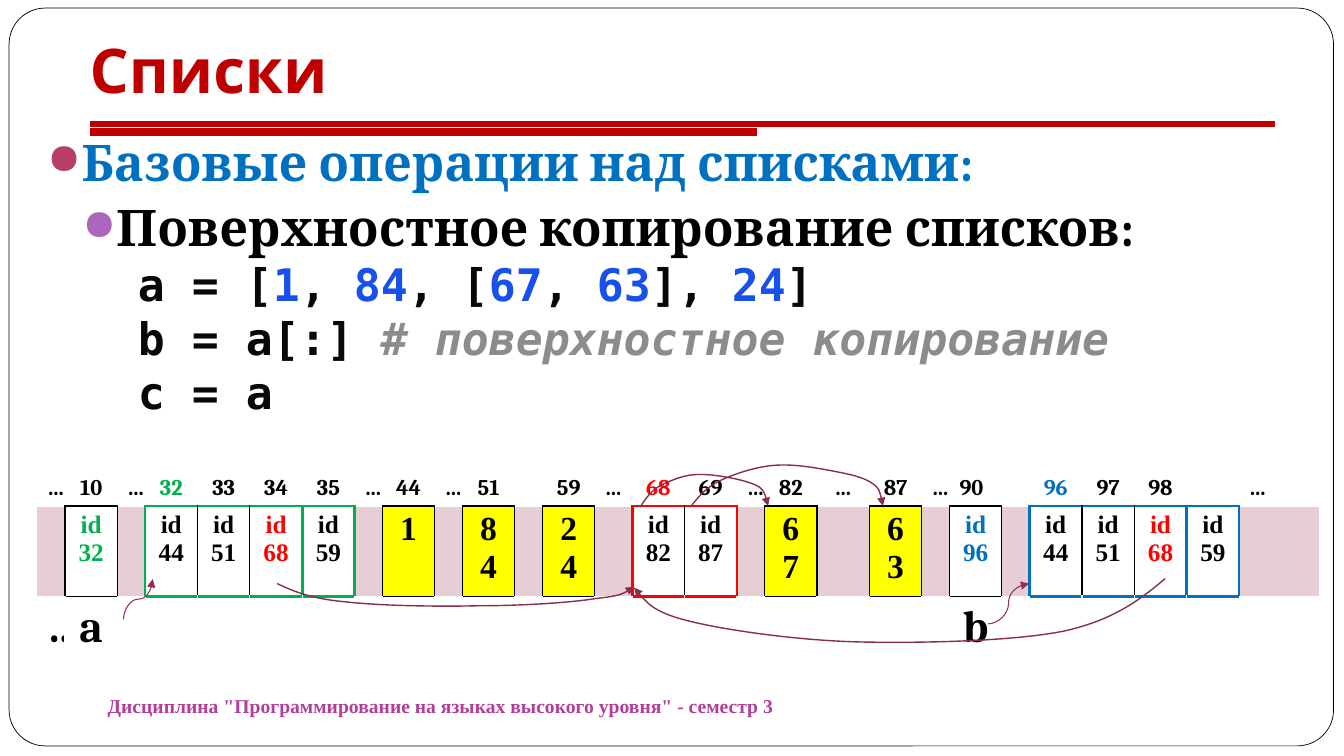
from collections import namedtuple
from lxml import etree
from pptx import Presentation
from pptx.dml.color import RGBColor
from pptx.enum.shapes import MSO_CONNECTOR, MSO_SHAPE
from pptx.enum.text import MSO_ANCHOR, PP_ALIGN
from pptx.oxml.ns import qn
from pptx.util import Inches, Pt

LINE, CURVE = MSO_CONNECTOR.STRAIGHT, MSO_CONNECTOR.CURVE
ROUND = MSO_SHAPE.ROUNDED_RECTANGLE
TOP, MID, LOW = MSO_ANCHOR.TOP, MSO_ANCHOR.MIDDLE, MSO_ANCHOR.BOTTOM
LEFT, MIDDLE = PP_ALIGN.LEFT, PP_ALIGN.CENTER
BLACK, WHITE, RED, GREEN, BLUE = "000000", "FFFFFF", "FF0000", "00B050", "0070C0"
YELLOW, ROSE, BRAND, WINE, PLUM = "FFFF00", "E6CED4", "C00000", "982C52", "882D4D"
SERIF, TIMES, MONO = "Cambria", "Times New Roman", "DejaVu Sans Mono"

Slot = namedtuple("Slot", "addr text frame tint mark width split side",
                  defaults=("", "", BLACK, BLACK, 5.2, False, MIDDLE))


def color(code):
    return RGBColor.from_string(code)


def apply(item, values):
    for name, value in values.items():
        setattr(item, name, value)


def add(parent, tag, **attrs):
    return etree.SubElement(parent, qn(tag), attrs)


class Board:
    """Draws on one slide; a grid column and a grid row are a tenth of an inch."""

    def __init__(self, cols, rows):
        self.deck = Presentation()
        apply(self.deck, {"slide_width": self.unit(cols), "slide_height": self.unit(rows)})
        self.slide = self.deck.slides.add_slide(self.deck.slide_layouts[6])
        self.shapes = self.slide.shapes

    def unit(self, count):
        return Inches(count / 10)

    def place(self, *counts):
        return [self.unit(count) for count in counts]

    def stroke(self, shape, tone, width, head=False):
        shape.line.color.rgb = color(tone)
        shape.line.width = Pt(width)
        if head:
            add(shape._element.spPr.find(qn("a:ln")), "a:tailEnd", type="triangle")

    def frame(self, box, round, tone, width):
        shape = self.shapes.add_shape(ROUND, *self.place(*box))
        shape.adjustments[0] = round
        shape.shadow.inherit = False
        shape.fill.solid()
        shape.fill.fore_color.rgb = color(WHITE)
        self.stroke(shape, tone, width)

    def link(self, kind, ends, tone, width, head=False, turn=0):
        wire = self.shapes.add_connector(kind, *self.place(*ends))
        self.stroke(wire, tone, width, head)
        add(wire._element.spPr, "a:effectLst")
        if turn:
            wire._element.spPr.find(qn("a:xfrm")).set("rot", str(turn * 60000))

    def arc(self, points, tone, width):
        """Draw a chain of cubic curves: a start, then three points a curve."""
        spots = [self.place(*point) for point in points]
        build = self.shapes.build_freeform(*spots[0])
        build.add_line_segments(spots[1:], close=False)
        shape = build.convert_to_shape()
        shape.shadow.inherit = False
        shape.fill.background()
        self.stroke(shape, tone, width, head=True)
        steps = list(shape._element.iter(qn("a:lnTo")))
        track = steps[0].getparent()
        for start in range(0, len(steps), 3):
            curve = add(track, "a:cubicBezTo")
            for step in steps[start:start + 3]:
                curve.append(step[0])
                track.remove(step)

    def say(self, para, text, tone, **font):
        run = para.add_run()
        run.text = text
        apply(run.font, font)
        run.font.color.rgb = color(tone)

    def text(self, box, anchor, **frame):
        body = self.shapes.add_textbox(*self.place(*box)).text_frame
        apply(body, {"word_wrap": True, "vertical_anchor": anchor, **frame})
        return body

    def indent(self, para, left, hang=0, dot=None):
        props = para._p.get_or_add_pPr()
        props.set("marL", str(self.unit(left)))
        props.set("indent", str(self.unit(-hang)))
        if dot:
            add(add(props, "a:buClr"), "a:srgbClr", val=dot)
            add(props, "a:buSzPct", val="85000")
            add(props, "a:buChar", char="●")

    def cell(self, cell, text, fill, edges, anchor, side, tone, **font):
        props = cell._tc.get_or_add_tcPr()
        for name in "LRTB":
            if name in edges:
                tint, width = edges[name]
                rule = add(props, "a:ln" + name, w=str(Pt(width)))
                if tint:
                    add(add(rule, "a:solidFill"), "a:srgbClr", val=tint)
                else:
                    add(rule, "a:noFill")
        cell.fill.solid()
        cell.fill.fore_color.rgb = color(fill)
        cell.vertical_anchor = anchor
        for index, line in enumerate(text.split("\n") if text else []):
            para = cell.text_frame.add_paragraph() if index else cell.text_frame.paragraphs[0]
            para.alignment = side
            self.say(para, line, tone, bold=True, **font)

    def memory(self, left, top, slots, height, names):
        """Draw addresses, stored values and variable names as a table."""
        table = self.shapes.add_table(3, len(slots), *self.place(
            left, top, sum(slot.width for slot in slots), 3 * height)).table
        for row in table.rows:
            row.height = self.unit(height)
        ends = [Slot("")] + slots + [Slot("")]
        for col, slot in enumerate(slots):
            table.columns[col].width = self.unit(slot.width)
            head, value, name = [table.cell(row, col) for row in range(3)]
            plain = slot.text and "id" not in slot.text
            fill = YELLOW if plain else WHITE if slot.text else ROSE
            upper = thick(slot.frame) if slot.frame else (WHITE, 2)
            lower = thick(slot.frame) if slot.frame else (WHITE, 1)
            edges = {"L": border(ends[col], slot), "R": border(slot, ends[col + 2]),
                     "T": upper, "B": lower}
            self.cell(head, slot.addr, WHITE, {"B": upper}, LOW, slot.side,
                      slot.mark, name=SERIF, size=Pt(16))
            self.cell(value, slot.text, fill, edges, TOP, MIDDLE, slot.tint,
                      name=TIMES, size=Pt(24 if plain else 18))
            self.cell(name, names.get(col, ""), WHITE, {"T": lower}, TOP, MIDDLE,
                      BLACK, name=SERIF, size=Pt(32))


def thick(tone):
    return tone, 1 if tone == BLACK else 2.25


def border(left, right):
    """Choose the line between two neighbouring slots."""
    if left.frame == right.frame:
        inner = right.frame if right.split else BLACK
        return thick(inner) if right.frame else (None, 1)
    return thick(left.frame or right.frame)


def items(frame, addrs):
    """List the four references of a list kept in one frame."""
    refs = ["id\n44", "id\n51", "id\n68", "id\n59"]
    return [Slot(addr, ref, frame, RED if "68" in ref else BLACK,
                 frame if addr == addrs[0] else BLACK, split=ref == refs[-1])
            for addr, ref in zip(addrs, refs)]


def gap(addr="…", width=2.75):
    return Slot(addr, width=width)


board = Board(133.33, 75)
board.frame((0.9, 0.8, 131.4, 73.2), 0.049, BLACK, 0.5)
for right, level, weight in [(126.5, 12.3, 4.5), (75.1, 13.1, 6)]:
    board.link(LINE, (8.9, level, right, level), BRAND, weight)

body = board.text((3.7, 12.5, 126.7, 55), TOP)
heads = [("Базовые операции над списками:", BLUE, 3, 3, "B83D68", 5.8),
         ("Поверхностное копирование списков:", BLACK, 6, 2.5, "AC66BB", 3.7)]
for index, (words, tone, left, hang, dot, before) in enumerate(heads):
    para = body.add_paragraph() if index else body.paragraphs[0]
    para.space_before = Pt(before)
    board.indent(para, left, hang, dot)
    board.say(para, words, tone, name=SERIF, size=Pt(36), bold=True)

INK, NUM, NOTE = "080808", "1750EB", "8C8C8C"
code = [[("a = [", INK), ("1", NUM), (", ", INK), ("84", NUM), (", [", INK), ("67", NUM),
         (", ", INK), ("63", NUM), ("], ", INK), ("24", NUM), ("]", INK)],
        [("b = a[:] ", INK), ("# поверхностное копирование", NOTE)],
        [("c = a", INK)]]
for line in code:
    para = body.add_paragraph()
    board.indent(para, 9)
    for words, tone in line:
        board.say(para, words, tone, name=MONO, size=Pt(32), bold=True, italic=tone == NOTE)

title = board.text((7.9, 1.4, 119.7, 10.1), LOW, margin_bottom=board.unit(1))
board.say(title.paragraphs[0], "Списки", BRAND, name="Cabin", size=Pt(44), bold=True)
footer = board.text((9.7, 67.5, 74, 5), MID)
board.say(footer.paragraphs[0],
          'Дисциплина "Программирование на языках высокого уровня" - семестр 3',
          "B13F9A", name=TIMES, size=Pt(14), bold=True)

slots = [gap(), Slot("10", "id\n32", BLACK, GREEN), gap(),
         *items(GREEN, ["32", "33", "34", "35"]), gap(),
         Slot("44", "1", BLACK), gap(), Slot("51", "84", BLACK), gap(""),
         Slot("59", "24", BLACK), gap(width=3.7),
         Slot("68", "id\n82", RED, mark=RED), Slot("69", "id\n87", RED), gap(),
         Slot("82", "67", BLACK), gap(width=5.2), Slot("87", "63", BLACK), gap(),
         Slot("90", "id\n96", BLACK, BLUE, side=LEFT), gap(""),
         *items(BLUE, ["96", "97", "98", ""]), gap(), gap("", 5.2)]
board.memory(3.7, 43, slots, 7.2, {0: "…", 1: "a", 21: "b"})

board.link(CURVE, (15.7, 60.9, 11.7, 58), WINE, 0.75, head=True, turn=90)
board.link(CURVE, (98, 61.9, 102.1, 57.9), WINE, 0.75, head=True)
arcs = [
    [(27.5, 57.9), (29.2, 58.7), (30.9, 59.4), (34.2, 59.7), (37.6, 60.1), (43.4, 60.2),
     (47.5, 60.1), (51.7, 60.1), (56.5, 59.8), (59, 59.4), (61.6, 59.1), (62.3, 58.7),
     (62.9, 58.2)],
    [(115.6, 57.4), (113.1, 59.5), (110.5, 61.5), (105.6, 62.6), (100.6, 63.6), (92, 63.8),
     (85.8, 63.7), (79.7, 63.6), (72.5, 62.6), (68.7, 61.7), (64.9, 60.8), (63.9, 59.5),
     (62.9, 58.3)],
    [(68.5, 50.3), (69.2, 49.4), (69.9, 48.5), (71.2, 47.8), (72.6, 47.1), (74.7, 46.4),
     (76.5, 46.2), (78.3, 46), (80.3, 46.3), (81.9, 46.6), (83.5, 46.9), (85.3, 47.2),
     (86.3, 47.8), (87.3, 48.4), (87.4, 49.3), (87.6, 50.2)],
    [(63.5, 50.3), (64, 49.6), (64.4, 48.9), (65.3, 48.3), (66.2, 47.8), (67.6, 47.2),
     (68.8, 47.1), (70, 47), (71.3, 47.2), (72.4, 47.4), (73.5, 47.6), (74.6, 47.9),
     (75.3, 48.3), (75.9, 48.8), (76, 49.5), (76.2, 50.2)]]
for points in arcs:
    board.arc(points, PLUM, 1)
board.deck.save("out.pptx")
